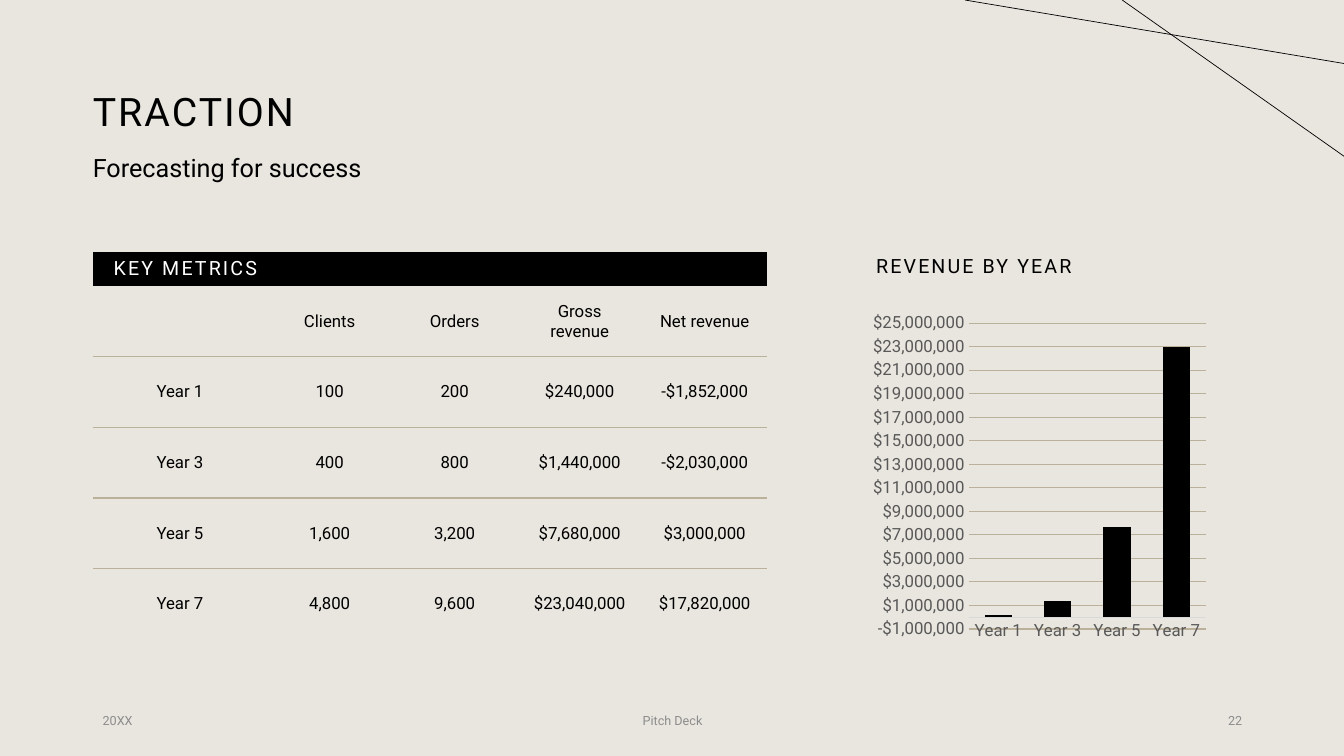
from pptx import Presentation
from pptx.chart.data import CategoryChartData
from pptx.dml.color import RGBColor
from pptx.enum.chart import XL_CHART_TYPE, XL_TICK_MARK
from pptx.enum.shapes import MSO_CONNECTOR
from pptx.enum.text import MSO_ANCHOR, MSO_AUTO_SIZE, PP_ALIGN
from pptx.oxml.ns import qn
from pptx.util import Inches, Pt
from lxml import etree

LEFT, CENTER, RIGHT = PP_ALIGN.LEFT, PP_ALIGN.CENTER, PP_ALIGN.RIGHT
TOP, MIDDLE = MSO_ANCHOR.TOP, MSO_ANCHOR.MIDDLE
COLUMN, NO_TICK = XL_CHART_TYPE.COLUMN_CLUSTERED, XL_TICK_MARK.NONE
STRAIGHT, NO_FIT = MSO_CONNECTOR.STRAIGHT, MSO_AUTO_SIZE.NONE

# Content
TITLE = "TRACTION"
SUBTITLE = "Forecasting for success"
CHART_TITLE = "REVENUE BY YEAR"
METRICS = [
    ("KEY METRICS", "", "", "", ""),
    ("", "Clients", "Orders", "Gross revenue", "Net revenue"),
    ("Year 1", "100", "200", "$240,000", "-$1,852,000"),
    ("Year 3", "400", "800", "$1,440,000", "-$2,030,000"),
    ("Year 5", "1,600", "3,200", "$7,680,000", "$3,000,000"),
    ("Year 7", "4,800", "9,600", "$23,040,000", "$17,820,000"),
]
REVENUE = {"Year 1": 200000, "Year 3": 1400000, "Year 5": 7700000, "Year 7": 23000000}
FOOTERS = [("20XX", 3, LEFT), ("Pitch Deck", 4.5, CENTER), ("22", 3, RIGHT)]

# Style and grid, in inches
FONT = "Roboto"
PAPER, INK, WHITE, RULE = "E9E6DF", "000000", "FFFFFF", "BBB19B"
AXIS_TEXT, AXIS_LINE, FOOTER_TEXT = "595959", "D9D9D9", "8C8C8C"
WIDTH, HEIGHT = 13.33, 7.5
MARGIN, CONTENT_W = 0.92, 11.5
BODY_TOP = HEIGHT / 3
COL_W = [1.73] + [1.24] * 4
ROW_H = [0.34] + [0.7] * 5
CHART_X, CHART_W = 8.59, 3.44
CORNER_LINES = [(11.13, 1.55), (9.57, 0.63)]  # start on top edge, end on right edge
NO_STYLE = "{2D5ABB26-0587-4C30-8999-92F81FD0307C}"


def rgb(color):
    return RGBColor.from_string(color)


def set_font(font, size, color):
    for name, value in dict(name=FONT, size=Pt(size), bold=False).items():
        setattr(font, name, value)
    font.color.rgb = rgb(color)


def write(tf, text, size, color=INK, align=LEFT, spacing=0, leading=1.0):
    p = tf.paragraphs[0]
    for name, value in dict(alignment=align, line_spacing=leading, space_before=Pt(0)).items():
        setattr(p, name, value)
    r = p.add_run()
    r.text = text
    set_font(r.font, size, color)
    r.font._element.set("spc", str(int(spacing * 100)))


def place(s, x, y, w, h, anchor):
    for name, value in dict(left=x, top=y, width=w, height=h).items():
        setattr(s, name, Inches(value))
    for name, value in dict(word_wrap=True, auto_size=NO_FIT, vertical_anchor=anchor).items():
        setattr(s.text_frame, name, value)
    return s.text_frame


def bottom_rule(cell):
    ln = etree.SubElement(cell._tc.get_or_add_tcPr(), qn("a:lnB"), w=str(Pt(1)))
    fill = etree.SubElement(ln, qn("a:solidFill"))
    etree.SubElement(fill, qn("a:srgbClr"), val=RULE)


def add_metrics(slide):
    frame = slide.shapes.add_table(len(ROW_H), len(COL_W), Inches(MARGIN), Inches(BODY_TOP),
                                   Inches(sum(COL_W)), Inches(sum(ROW_H)))
    table = frame.table
    table.horz_banding = table.first_row = False
    table._tbl.tblPr.find(qn("a:tableStyleId")).text = NO_STYLE
    for column, w in zip(table.columns, COL_W):
        column.width = Inches(w)
    for i, (row, h) in enumerate(zip(table.rows, ROW_H)):
        row.height = Inches(h)
        for cell, text in zip(row.cells, METRICS[i]):
            cell.vertical_anchor = MIDDLE
            if 0 < i < len(ROW_H) - 1:
                bottom_rule(cell)
            if i == 0:
                cell.fill.solid()
                cell.fill.fore_color.rgb = rgb(INK)
            else:
                cell.fill.background()
            tf = cell.text_frame
            if not text:
                tf.paragraphs[0]._p.get_or_add_endParaRPr().set("sz", "1200")
            elif i == 0:
                write(tf, text, 14, WHITE, RIGHT, 1.5)
            else:
                write(tf, text, 12, align=CENTER)


def add_revenue(slide):
    data = CategoryChartData(number_format="[$$-409]#,##0")
    data.categories = list(REVENUE)
    data.add_series("Series 1", list(REVENUE.values()))
    chart = slide.shapes.add_chart(COLUMN, Inches(CHART_X), Inches(3.04), Inches(CHART_W),
                                   Inches(3.39), data).chart
    chart.has_legend = chart.has_title = False
    set_font(chart.font, 10, INK)
    plot = chart.plots[0]
    plot.gap_width, plot.overlap, plot.vary_by_categories = 118, -3, False
    fill = plot.series[0].format.fill
    fill.solid()
    fill.fore_color.rgb = rgb(INK)

    years, dollars = chart.category_axis, chart.value_axis
    for axis in (years, dollars):
        axis.major_tick_mark = axis.minor_tick_mark = NO_TICK
        set_font(axis.tick_labels.font, 12, AXIS_TEXT)
    scale = dict(minimum_scale=-1000000, maximum_scale=25000000, major_unit=2000000)
    for name, value in scale.items():
        setattr(dollars, name, value)
    dollars.tick_labels.number_format = "[$$-409]#,##0"
    dollars.tick_labels.number_format_is_linked = False
    dollars.format.line.fill.background()
    for line, color in ((years.format.line, AXIS_LINE),
                        (dollars.major_gridlines.format.line, RULE)):
        line.width = Pt(0.75)
        line.color.rgb = rgb(color)


def main():
    prs = Presentation()
    prs.slide_width, prs.slide_height = Inches(WIDTH), Inches(HEIGHT)
    slide = prs.slides.add_slide(prs.slide_layouts.get_by_name("Comparison"))
    slide.background.fill.solid()
    slide.background.fill.fore_color.rgb = rgb(PAPER)

    # Headings
    title, subtitle, left_body, chart_title, right_body = slide.placeholders
    for unused in (left_body, right_body):
        unused._element.getparent().remove(unused._element)
    tf = place(title, MARGIN, 0.4, CONTENT_W, 1.45, MIDDLE)
    tf.margin_left = 0
    write(tf, TITLE, 28, spacing=1.5, leading=0.9)
    write(place(subtitle, MARGIN - 0.1, 1.49, 7.4, 0.54, TOP), SUBTITLE, 18, leading=0.9)
    write(place(chart_title, CHART_X, BODY_TOP, CHART_W, ROW_H[0], TOP), CHART_TITLE, 14,
          spacing=1.5, leading=0.9)

    add_metrics(slide)
    add_revenue(slide)

    # Footer, spread evenly over the content width
    gap = (CONTENT_W - sum(w for _, w, _ in FOOTERS)) / (len(FOOTERS) - 1)
    x = MARGIN
    for text, w, align in FOOTERS:
        box = slide.shapes.add_textbox(0, 0, 0, 0)
        write(place(box, x, 6.95, w, 0.4, MIDDLE), text, 9, FOOTER_TEXT, align)
        x += w + gap

    # Corner lines
    for start_x, end_y in CORNER_LINES:
        line = slide.shapes.add_connector(STRAIGHT, Inches(start_x), 0, Inches(WIDTH), Inches(end_y))
        line.line.width = Pt(0.5)
        line.line.color.rgb = rgb(INK)
        etree.SubElement(line._element.spPr, qn("a:effectLst"))

    prs.save("out.pptx")


if __name__ == "__main__":
    main()
